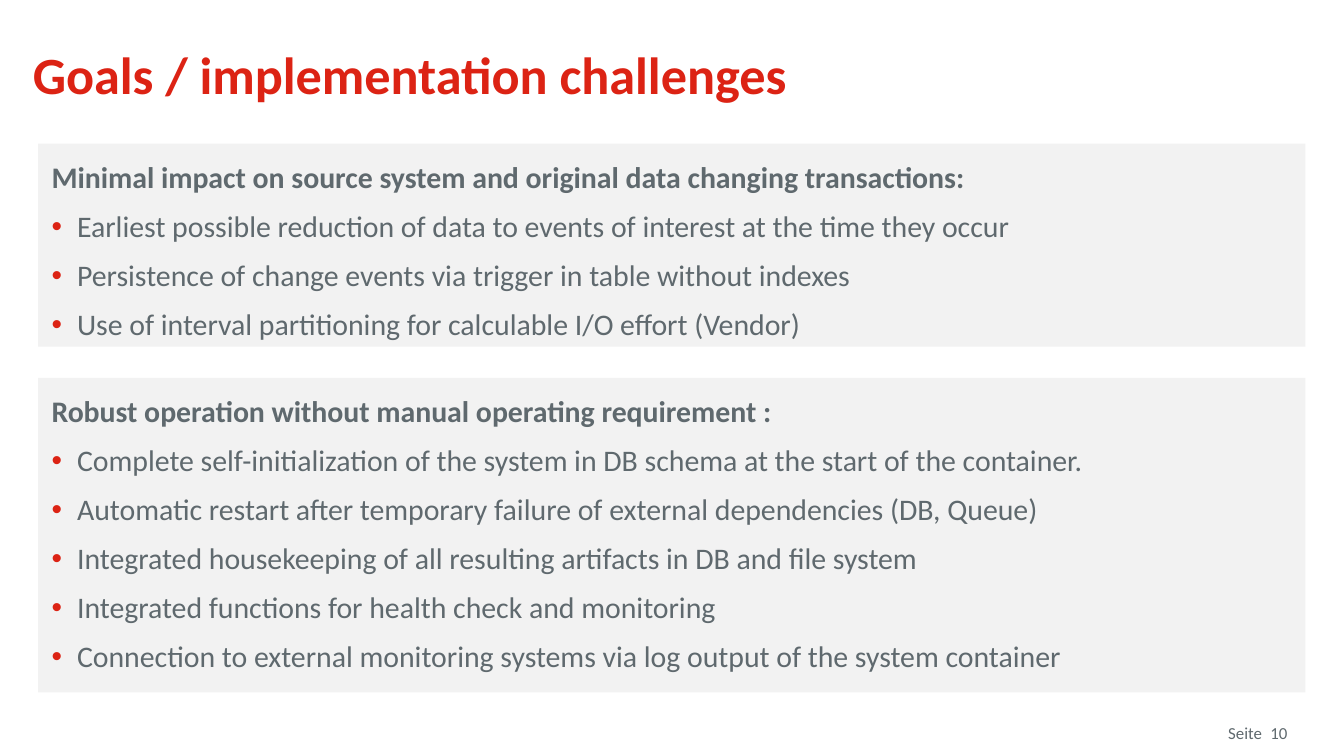
"""Build the slide on goals and implementation challenges."""
from dataclasses import dataclass

from lxml import etree
from pptx import Presentation
from pptx.dml.color import RGBColor
from pptx.enum.shapes import MSO_SHAPE
from pptx.enum.text import MSO_ANCHOR, MSO_AUTO_SIZE, PP_ALIGN
from pptx.oxml.ns import qn
from pptx.slide import Slide
from pptx.text.text import TextFrame, _Paragraph
from pptx.util import Inches, Pt

RECT = MSO_SHAPE.RECTANGLE
TOP = MSO_ANCHOR.TOP
NO_FIT = MSO_AUTO_SIZE.NONE
LEFT, RIGHT = PP_ALIGN.LEFT, PP_ALIGN.RIGHT

WIDTH = Inches(10)
HEIGHT = WIDTH * 9 // 16
FONT = "Calibri"
BULLET_FONT = "Arial"
COLORS = {"accent": "DC2314", "text": "5F696E", "panel": "F2F2F2"}


@dataclass(frozen=True)
class Area:
    """Position and size in percent of the slide."""
    left: float
    top: float
    width: float
    height: float

    def box(self) -> tuple[int, int, int, int]:
        """Return left, top, width and height as lengths."""
        return (round(WIDTH * self.left / 100), round(HEIGHT * self.top / 100),
                round(WIDTH * self.width / 100), round(HEIGHT * self.height / 100))


@dataclass(frozen=True)
class Panel:
    """A headed list of goals."""
    top: float
    height: float
    heading: str
    goals: tuple[str, ...]


@dataclass(frozen=True)
class Footer:
    """A right-aligned footer text."""
    text: str
    left: float
    width: float


TITLE_AREA = Area(2.44, 6.58, 91.5, 9.96)
PANELS = (
    Panel(19, 26.84,
          "Minimal impact on source system and original data changing transactions:",
          ("Earliest possible reduction of data to events of interest at the time they occur",
           "Persistence of change events via trigger in table without indexes",
           "Use of interval partitioning for calculable I/O effort (Vendor)")),
    Panel(50, 41.6,
          "Robust operation without manual operating requirement :",
          ("Complete self-initialization of the system in DB schema at the start of the container.",
           "Automatic restart after temporary failure of external dependencies (DB, Queue)",
           "Integrated housekeeping of all resulting artifacts in DB and file system",
           "Integrated functions for health check and monitoring",
           "Connection to external monitoring systems via log output of the system container")),
)
FOOTERS = (Footer("Seite", 70.1, 23.8), Footer("10", 92.1, 3.7))


def rgb(name: str) -> RGBColor:
    """Look up a named colour."""
    return RGBColor.from_string(COLORS[name])


def set_frame(tf: TextFrame, inset_top: float = 0) -> None:
    """Anchor the text at the top and set its insets."""
    tf.word_wrap = True
    tf.auto_size = NO_FIT
    tf.vertical_anchor = TOP
    tf.margin_left = tf.margin_right = tf.margin_bottom = 0
    tf.margin_top = Inches(inset_top)


def write(p: _Paragraph, text: str, size: float, color: str = "text",
          bold: bool = False, align: PP_ALIGN = LEFT) -> None:
    """Fill and format one paragraph."""
    p.text = text
    p.alignment = align
    p.font.name = FONT
    p.font.size = Pt(size)
    p.font.bold = bold
    p.font.color.rgb = rgb(color)


def add_bullet(p: _Paragraph) -> None:
    """Give a paragraph an accent-coloured bullet."""
    pPr = p._p.get_or_add_pPr()
    color = etree.Element(qn("a:buClr"))
    etree.SubElement(color, qn("a:srgbClr"), val=COLORS["accent"])
    font = etree.Element(qn("a:buFont"), typeface=BULLET_FONT)
    bullet = etree.Element(qn("a:buChar"), char="•")
    at = len(pPr.findall(qn("a:lnSpc")) + pPr.findall(qn("a:spcAft")))
    pPr[at:at] = [color, font, bullet]


def add_title(s: Slide, text: str) -> None:
    """Place and format the title."""
    sp = s.shapes.title
    sp.left, sp.top, sp.width, sp.height = TITLE_AREA.box()
    set_frame(sp.text_frame)
    p = sp.text_frame.paragraphs[0]
    write(p, text, 28, "accent", bold=True)
    p.line_spacing = 0.9


def add_panel(s: Slide, panel: Panel) -> None:
    """Draw a panel with its heading and bulleted goals."""
    sp = s.shapes.add_shape(RECT, *Area(2.84, panel.top, 94.3, panel.height).box())
    sp.shadow.inherit = False
    sp.fill.solid()
    sp.fill.fore_color.rgb = rgb("panel")
    sp.line.fill.background()
    tf = sp.text_frame
    set_frame(tf, 0.14)
    for i, text in enumerate((panel.heading, *panel.goals)):
        p = tf.add_paragraph() if i else tf.paragraphs[0]
        write(p, text, 16, bold=i == 0)
        p.line_spacing = 0.9
        p.space_after = Pt(9)
        pPr = p._p.get_or_add_pPr()
        pPr.set("marL", str(Inches(0.29)))
        pPr.set("indent", str(Inches(-0.19)))
        if i:
            add_bullet(p)


def add_footer(s: Slide, footer: Footer) -> None:
    """Add one footer text."""
    area = Area(footer.left, 95.64, footer.width, 5.33)
    tf = s.shapes.add_textbox(*area.box()).text_frame
    set_frame(tf)
    write(tf.paragraphs[0], footer.text, 9, align=RIGHT)


def main() -> None:
    """Build and save the presentation."""
    prs = Presentation()
    prs.slide_width, prs.slide_height = WIDTH, HEIGHT
    s = prs.slides.add_slide(prs.slide_layouts[5])
    add_title(s, "Goals / implementation challenges")
    for footer in FOOTERS:
        add_footer(s, footer)
    for panel in PANELS:
        add_panel(s, panel)
    prs.save("out.pptx")


if __name__ == "__main__":
    main()
